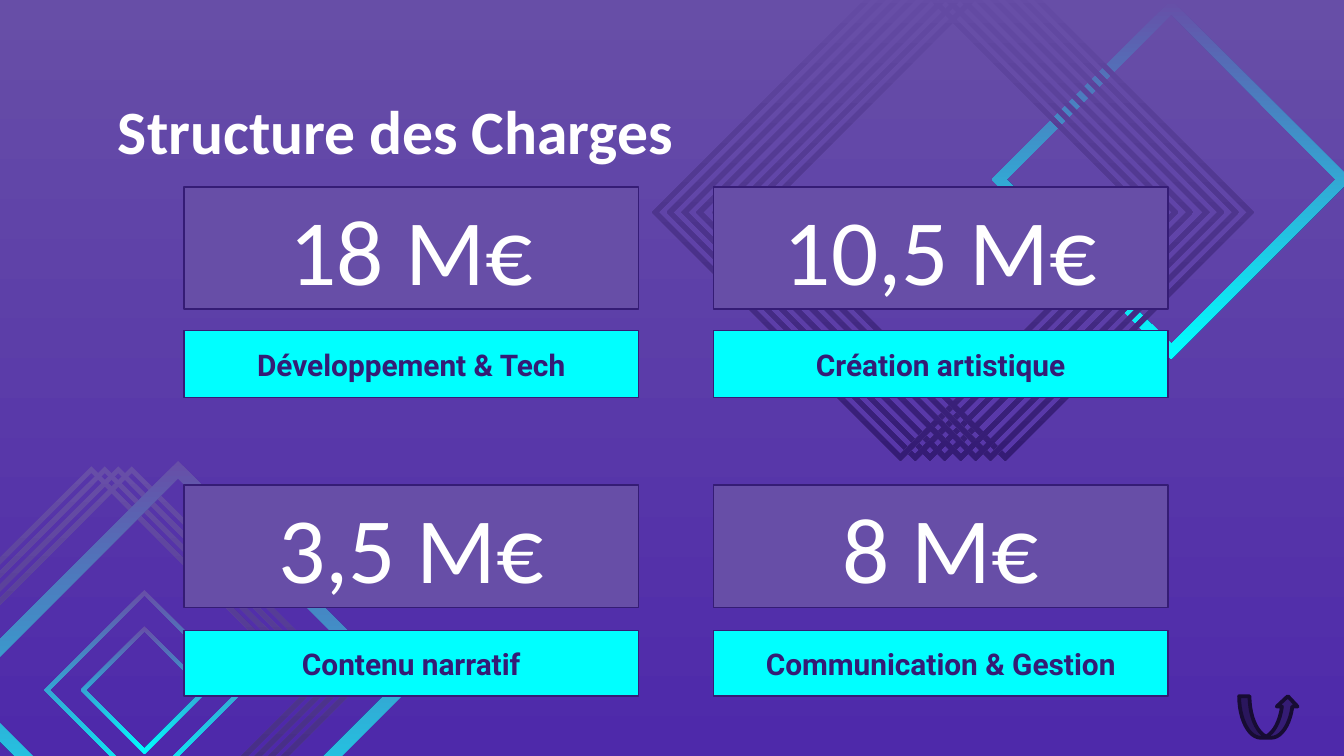
from pptx import Presentation
from pptx import util as u
from pptx.dml import color
from pptx.enum import shapes, text

VIOLET, INDIGO, CYAN, WHITE = "674EA7", "351C75", "00FFFF", "FFFFFF"
DOWN, UP = 270, 90  # gradient directions, counter-clockwise degrees


def rgb(value):
    return color.RGBColor.from_string(value)


def set_gradient(fill, start, end, angle=DOWN):
    fill.gradient()
    fill.gradient_angle = angle
    for stop, value in zip(fill.gradient_stops, (start, end)):
        stop.color.rgb = rgb(value)


def add_diamond(parent, left, top, size, band, end):
    """Hollow diamond; band is the horizontal thickness of its outline."""
    radius = size / 2
    center_x, center_y = left + radius, top + radius

    def corners(reach, turn):
        offsets = [(reach, 0), (0, turn * reach), (-reach, 0), (0, -turn * reach)]
        return [(u.Inches(center_x + dx), u.Inches(center_y + dy)) for dx, dy in offsets]

    outer, inner = corners(radius, -1), corners(radius - band, 1)
    builder = parent.build_freeform(*outer[0], scale=1.0)
    builder.add_line_segments(outer[1:], close=True)
    builder.move_to(*inner[0])
    builder.add_line_segments(inner[1:], close=True)
    diamond = builder.convert_to_shape()
    diamond.shadow.inherit = False
    diamond.line.fill.background()
    set_gradient(diamond.fill, VIOLET, end)


def add_top_ornament(page, left, top):
    add_diamond(page.shapes, left + 2.52, top + 0.27, 2.67, 0.11, CYAN)
    group = page.shapes.add_group_shape().shapes
    for start in (0.32, 0.77):
        for step in range(4):
            add_diamond(group, left + start - 0.11 * step, top, 3.7, 0.05, INDIGO)


def add_bottom_ornament(page, left, top):
    group = page.shapes.add_group_shape().shapes
    for step in range(4):
        add_diamond(group, left + 0.1 * step, top + 0.04, 3.32, 0.05, INDIGO)
    add_diamond(group, left + 0.6, top, 3.41, 0.13, CYAN)
    for inset, size in ((1.31, 1.49), (1.58, 0.95)):
        add_diamond(group, left + inset, top + inset - 0.35, size, 0.04, CYAN)


def write(shape, words, size, font, value, bold=False, align=None):
    frame = shape.text_frame
    frame.word_wrap = True
    frame.margin_left = frame.margin_right = u.Inches(0.1)
    frame.margin_top = frame.margin_bottom = u.Inches(0.1)
    para = frame.paragraphs[0]
    para.alignment = align
    span = para.add_run()
    span.text = words
    span.font.size = u.Pt(size)
    span.font.name = font
    span.font.bold = bold
    span.font.color.rgb = rgb(value)


def add_panel(page, kind, left, top, width, height, fill, line, weight):
    panel = page.shapes.add_shape(kind, *map(u.Inches, (left, top, width, height)))
    panel.shadow.inherit = False
    panel.fill.solid()
    panel.fill.fore_color.rgb = rgb(fill)
    panel.line.color.rgb = rgb(line)
    panel.line.width = u.Pt(weight)
    return panel


def add_cost_card(page, left, top, width, height, label_height, amount, label):
    parts = [
        (0, 0.91, VIOLET, amount, 50, "Calibri", WHITE, False),
        (height - label_height, label_height, CYAN, label, 16, "Roboto", INDIGO, True),
    ]
    for offset, part_height, fill, words, size, font, value, bold in parts:
        panel = add_panel(page, shapes.MSO_SHAPE.RECTANGLE, left, top + offset,
                          width, part_height, fill, INDIGO, 0.75)
        panel.text_frame.vertical_anchor = text.MSO_ANCHOR.MIDDLE
        write(panel, words, size, font, value, bold, text.PP_ALIGN.CENTER)


def add_cost_grid(page, left, top):
    rows = [
        (0.5, [("18 M€", "Développement & Tech"), ("10,5 M€", "Création artistique")]),
        (0.49, [("3,5 M€", "Contenu narratif"), ("8 M€", "Communication & Gestion")]),
    ]
    for row, (label_height, costs) in enumerate(rows):
        for column, (amount, label) in enumerate(costs):
            add_cost_card(page, left + 3.94 * column, top + 2.22 * row, 3.38, 1.57,
                          label_height, amount, label)


def add_title(page, left, top, width, height):
    box = page.shapes.add_textbox(*map(u.Inches, (left, top, width, height)))
    write(box, "Structure des Charges", 33, "Calibri", WHITE, bold=True)


def build_costs_page(deck):
    page = deck.slides.add_slide(deck.slide_layouts[6])
    set_gradient(page.background.fill, "4E29AA", VIOLET, UP)

    # Decorative diamonds
    add_top_ornament(page, 4.86, -0.27)
    add_bottom_ornament(page, -0.98, 3.43)

    # Content
    add_cost_grid(page, 1.37, 1.39)
    add_title(page, 0.78, 0.59, 8.44, 0.63)

    # Return arrow
    add_panel(page, shapes.MSO_SHAPE.CURVED_UP_ARROW, 9.22, 5.18, 0.44, 0.31,
              INDIGO, "170C33", 2)


def main():
    deck = Presentation()
    deck.slide_width = u.Inches(10)
    deck.slide_height = deck.slide_width * 9 // 16
    build_costs_page(deck)
    deck.save("out.pptx")


if __name__ == "__main__":
    main()
